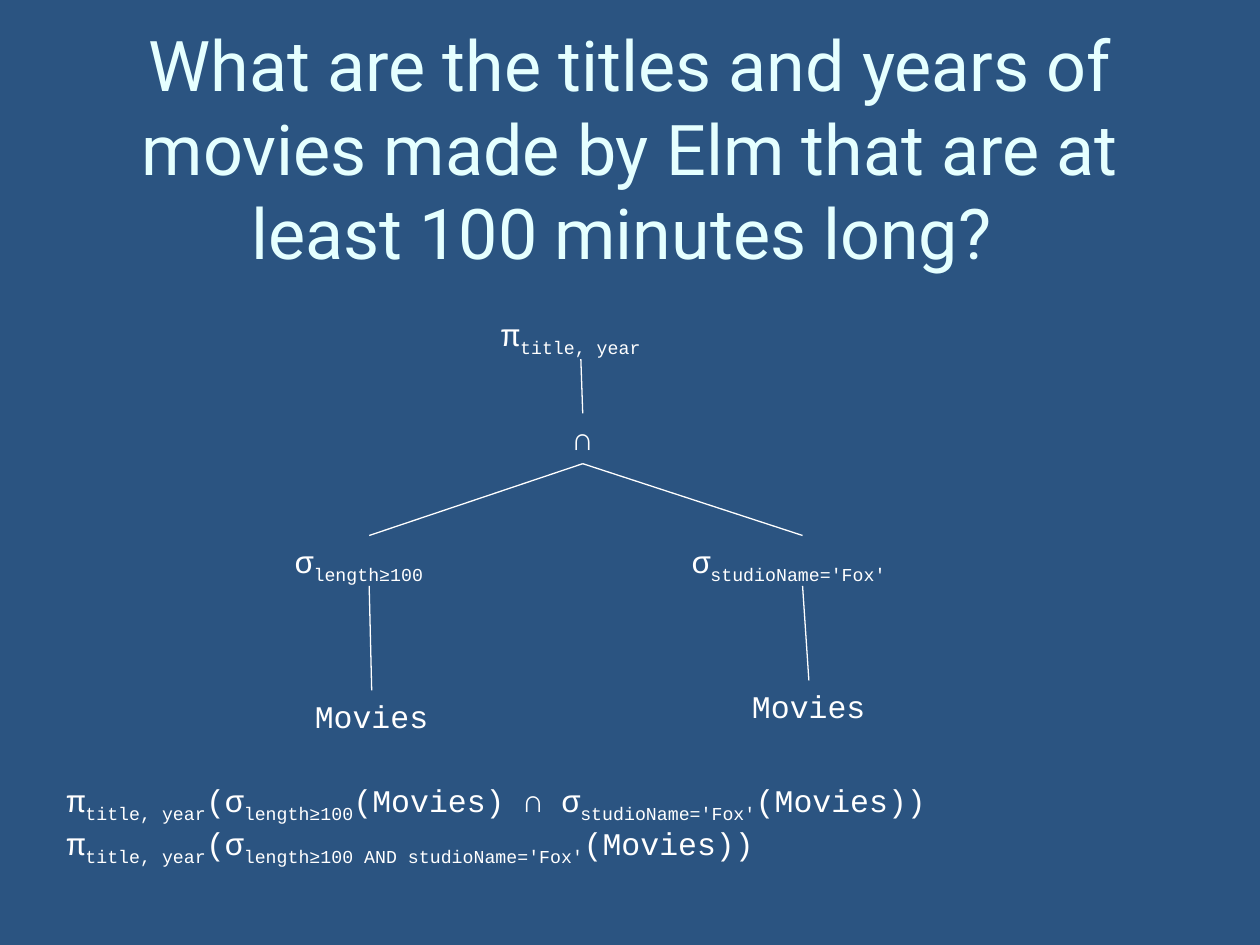
from pptx import Presentation
from pptx.dml.color import RGBColor
from pptx.enum.shapes import MSO_CONNECTOR
from pptx.enum.text import MSO_ANCHOR, MSO_AUTO_SIZE, PP_ALIGN
from pptx.oxml.ns import qn
from pptx.util import Inches, Pt
from lxml import etree

STRAIGHT = MSO_CONNECTOR.STRAIGHT
MIDDLE = MSO_ANCHOR.MIDDLE
CENTER = PP_ALIGN.CENTER
FIXED, FIT_TEXT = MSO_AUTO_SIZE.NONE, MSO_AUTO_SIZE.SHAPE_TO_FIT_TEXT
TOP_SIDE, BOTTOM_SIDE = 0, 2
TITLE_ONLY = 5

QUESTION = ("What are the titles and years of movies made by Elm "
            "that are at least 100 minutes long? ")

# Expression tree: text with subscripts in braces, then column, row, width
NODES = {
    "projection": ("π{title, year}", 38.8, 24.5, 14.6),
    "intersection": ("∩", 44.5, 32.8, 3.5),
    "length": ("σ{length≥100}", 22.4, 42.5, 13.8),
    "studio": ("σ{studioName='Fox'}", 53.9, 42.5, 19.6),
    "length movies": ("Movies", 24, 54.8, 11),
    "studio movies": ("Movies", 58.7, 54, 11),
}
EDGES = [
    ("projection", "intersection"),
    ("intersection", "length"),
    ("intersection", "studio"),
    ("length", "length movies"),
    ("studio", "studio movies"),
]
EXPRESSIONS = [
    "π{title, year}(σ{length≥100}(Movies) ∩ σ{studioName='Fox'}(Movies))",
    "π{title, year}(σ{length≥100 AND studioName='Fox'}(Movies))",
]


def color(hex_code):
    return RGBColor.from_string(hex_code)


class AlgebraSlide:
    """Style and current slide, on a grid of 100 columns by 75 rows."""
    background, title_color, ink = "2B5481", "E5FFFF", "FFFFFF"
    title_font, code_font = "Roboto", "Courier New"
    title_size, code_size, line_width = 40, 18, 0.75
    node_height = 4

    def __init__(self, deck):
        self.cell = deck.slide_width / 100
        self.slide = deck.slides.add_slide(deck.slide_layouts[TITLE_ONLY])
        fill = self.slide.background.fill
        fill.solid()
        fill.fore_color.rgb = color(self.background)

    def grid(self, *cells):
        return [round(count * self.cell) for count in cells]

    def style(self, font, name, size, hex_code):
        font.name, font.size = name, Pt(size)
        font.color.rgb = color(hex_code)

    def title(self, wording, *box):
        title = self.slide.shapes.title
        title.left, title.top, title.width, title.height = self.grid(*box)
        frame = title.text_frame
        frame.text = wording
        frame.word_wrap, frame.auto_size = True, FIXED
        frame.vertical_anchor = MIDDLE
        paragraph = frame.paragraphs[0]
        paragraph.alignment = CENTER
        self.style(paragraph.runs[0].font, self.title_font,
                   self.title_size, self.title_color)

    def formulas(self, lines, *box, wrap=False):
        label = self.slide.shapes.add_textbox(*self.grid(*box))
        frame = label.text_frame
        frame.text = "\n".join(lines)
        frame.word_wrap, frame.auto_size = wrap, FIT_TEXT
        for paragraph, line in zip(frame.paragraphs, lines):
            paragraph.text = ""
            # Every second piece stood in braces and is a subscript
            for index, piece in enumerate(line.replace("}", "{").split("{")):
                if not piece:
                    continue
                run = paragraph.add_run()
                run.text = piece
                self.style(run.font, self.code_font, self.code_size, self.ink)
                if index % 2:
                    run._r.get_or_add_rPr().set("baseline", "-25000")
        return label

    def edge(self, parent, child):
        line = self.slide.shapes.add_connector(STRAIGHT, 0, 0, 0, 0)
        line.begin_connect(parent, BOTTOM_SIDE)
        line.end_connect(child, TOP_SIDE)
        line.line.color.rgb = color(self.ink)
        line.line.width = Pt(self.line_width)
        etree.SubElement(line._element.spPr, qn("a:effectLst"))


def main():
    deck = Presentation()
    deck.slide_width, deck.slide_height = Inches(10), Inches(7.5)
    page = AlgebraSlide(deck)

    # Question
    page.title(QUESTION, 5, 4.2, 90, 15)

    # Expression tree
    nodes = {
        name: page.formulas([formula], column, row, width, page.node_height)
        for name, (formula, column, row, width) in NODES.items()
    }
    for parent, child in EDGES:
        page.edge(nodes[parent], nodes[child])

    # The same query as linear expressions
    page.formulas(EXPRESSIONS, 4.3, 61.5, 93.7, 7, wrap=True)

    deck.save("out.pptx")


if __name__ == "__main__":
    main()
